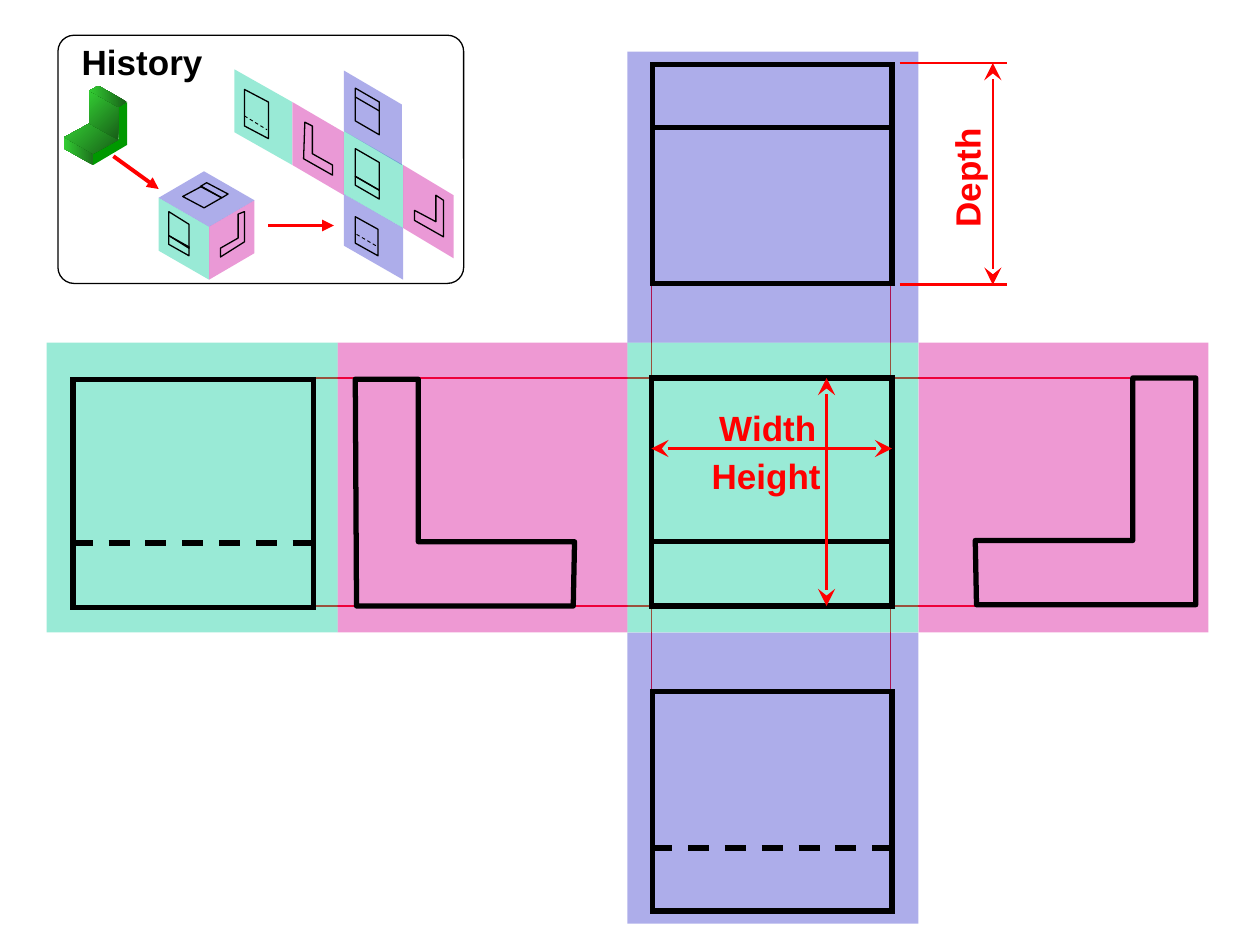
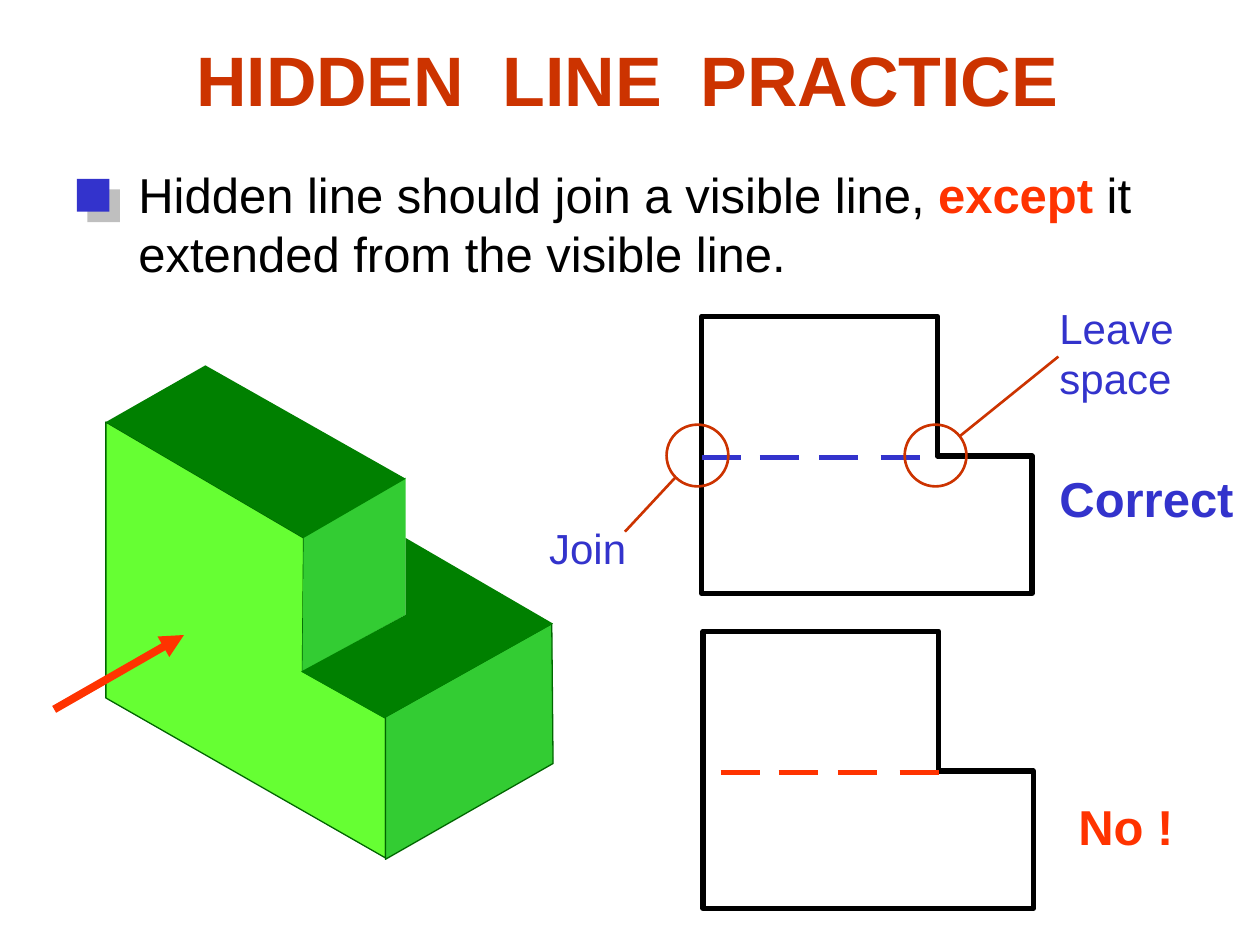
from lxml.etree import SubElement
from pptx import Presentation
from pptx.dml.color import RGBColor
from pptx.enum.dml import MSO_LINE
from pptx.enum.shapes import MSO_CONNECTOR, MSO_SHAPE
from pptx.enum.text import MSO_ANCHOR, MSO_AUTO_SIZE, PP_ALIGN
from pptx.oxml.ns import qn
from pptx.util import Pt

PX = 9144  # 100 px to the inch
FONT = "Arial"

BLACK = RGBColor(0, 0, 0)
RED = RGBColor(0xFF, 0, 0)
ORANGE = RGBColor(0xFF, 0x33, 0)
RUST = RGBColor(0xCC, 0x33, 0)
BLUE = RGBColor(0x33, 0x33, 0xCC)
TEAL = RGBColor(0, 0xCC, 0x99)
PINK = RGBColor(0xD6, 0, 0x93)
ROSE = RGBColor(0xCC, 0, 0x99)
GRAY = RGBColor(0x80, 0x80, 0x80)
LIME = RGBColor(0x66, 0xFF, 0x33)
GREEN = RGBColor(0x33, 0xCC, 0x33)
DARK = RGBColor(0, 0x80, 0)
EDGE = RGBColor(0, 0x66, 0)
SIDE = RGBColor(0, 0x99, 0)
SHADE = RGBColor(0x17, 0x5E, 0x17)
DIM = RGBColor(0x1C, 0x71, 0x1C)

# Unfolded box: column, row, colour; two faces side by side span 461 px
COLS = [(75 + 461 * i) // 2 for i in range(5)]
ROWS = [(83 + 461 * i) // 2 for i in range(4)]
FACES = [(2, 1, TEAL), (3, 1, PINK), (1, 1, PINK), (0, 1, TEAL),
         (2, 0, BLUE), (2, 2, BLUE)]
GUIDES = [(707, 549, 707, 225), (517, 547, 517, 224),
          (776, 481, 247, 481), (897, 300, 246, 300)]
# Views: frame, then the inner line and whether it is hidden
VIEWS = [((517, 300, 191, 181), (517, 430, 708, 430), False),
         ((518, 51, 190, 174), (517, 101, 707, 101), False),
         ((518, 549, 190, 174), (517, 673, 707, 673), True),
         ((58, 301, 191, 181), (57, 431, 248, 431), True)]
ELLS = [[(949, 480), (775, 480), (774, 429), (899, 429), (899, 300), (949, 300)],
        [(283, 481), (455, 481), (456, 430), (332, 430), (332, 301), (282, 301)]]
SPANS = [(656, 300, 656, 481), (517, 356, 708, 356), (788, 50, 788, 226)]
STOPS = [(714, 50, 799, 50), (714, 226, 799, 226)]
SIZES = [("Height", (555, 356, 112, 44), 0), ("Width", (561, 318, 99, 44), 0),
         ("Depth", (718, 119, 99, 44), 270)]

# Small slanted panels: left, top, width, drop, height
SMALL = [((273, 104, 47, 27, 50), TEAL), ((320, 131, 40, 24, 50), ROSE),
         ((232, 81, 41, 24, 50), ROSE), ((273, 154, 47, 27, 41), BLUE),
         ((186, 55, 46, 26, 50), TEAL), ((273, 56, 46, 27, 48), BLUE),
         ((126, 157, 40, 23, 42), TEAL), ((166, 180, 36, -21, 42), ROSE)]
MARKS = [(282, 118, 19, 11, 22), (282, 140, 19, 11, 7), (282, 70, 19, 11, 26),
         (134, 168, 16, 10, 19), (134, 187, 16, 9, 7), (282, 172, 18, 10, 21),
         (194, 71, 19, 10, 29)]
LID = [(202, 159), (166, 180), (126, 157), (162, 136)]
TRACES = [[(346, 155), (352, 159), (352, 188), (329, 175), (329, 167), (346, 176)],
          [(145, 156), (162, 165), (176, 157), (160, 148)],
          [(176, 157), (159, 148), (164, 145), (181, 154)],
          [(175, 204), (175, 197), (189, 189), (189, 170), (194, 168), (194, 192)],
          [(248, 122), (264, 131), (264, 139), (241, 126), (242, 97), (248, 100)]]
CREASES = [((282, 77, 301, 88), 0.75, False), ((283, 186, 300, 196), 0.5, True),
           ((194, 92, 212, 103), 0.5, True)]
SEAT = [(74, 122), (74, 131), (101, 115), (101, 81), (94, 85), (94, 111)]
# Lit faces of the seat: outline, dark end, angle
LIT = [([(74, 122), (51, 109), (51, 118), (74, 131)], DIM, 180),
       ([(74, 122), (51, 109), (71, 98), (94, 111)], SHADE, 135),
       ([(94, 111), (71, 98), (71, 72), (94, 85)], SHADE, 135),
       ([(101, 81), (94, 85), (71, 72), (78, 68)], SHADE, 180)]
STEPS = [(90, 124, 126, 150), (213, 179, 265, 179)]

TITLE = "HIDDEN  LINE  PRACTICE"
RULE = [[("Hidden line should join a visible line, ", False),
         ("except", True), (" it", False)],
        [("extended from the visible line.", False)]]
SOLID = [
    ([(84, 335), (84, 554), (306, 681), (306, 570), (240, 533), (241, 427)], LIME, EDGE),
    ([(306, 569), (438, 495), (439, 606), (306, 682)], GREEN, EDGE),
    ([(241, 426), (322, 379), (322, 488), (240, 533)], GREEN, None),
    ([(84, 335), (163, 290), (322, 380), (241, 427)], DARK, None),
    ([(322, 488), (322, 427), (439, 495), (305, 570), (239, 533)], DARK, None)]
STEP = [(0, 220), (0, 0), (187, 0), (187, 111), (262, 111), (262, 220)]
DASHES, DASH = [0, 46, 93, 142], 31
# Cases: left, top, shift of the hidden line, colour
CASES = [(557, 251, 0, BLUE), (558, 501, 14, ORANGE)]
RINGS = [((529, 337), (536, 379, 496, 422)), ((718, 337), (762, 346, 840, 283))]
NOTES = [("Correct", (831, 367, 158, 57), 28, BLUE, True),
         ("No !", (846, 627, 102, 57), 28, ORANGE, True),
         ("Join", (426, 410, 83, 50), 24, BLUE, False),
         ("Leave\nspace", (831, 235, 113, 90), 24, BLUE, False)]


def emu(box):
    return [n * PX for n in box]


def style(run, size, color, bold):
    font = run.font
    font.name, font.size, font.bold = FONT, Pt(size), bold
    font.color.rgb = color


def stroke(shape, color, width, hidden=False):
    shape.line.color.rgb = color
    shape.line.width = Pt(width)
    if hidden:
        shape.line.dash_style = MSO_LINE.DASH


def paint(shape, fill=None, alpha=100, color=None, width=0.75):
    """Set fill and outline; None leaves either one out."""
    shape.shadow.inherit = False
    if fill is None:
        shape.fill.background()
    else:
        shape.fill.solid()
        shape.fill.fore_color.rgb = fill
        if alpha < 100:
            tint = shape.element.spPr.find(qn("a:solidFill"))[0]
            SubElement(tint, qn("a:alpha"), val=str(alpha * 1000))
    if color is None:
        shape.line.fill.background()
    else:
        stroke(shape, color, width)
    return shape


def block(slide, box, kind=MSO_SHAPE.RECTANGLE, **look):
    shape = paint(slide.shapes.add_shape(kind, *emu(box)), **look)
    if kind == MSO_SHAPE.RECTANGLE and look.get("color") is not None:
        SubElement(shape.element.spPr.find(qn("a:ln")), qn("a:miter"), lim="800000")
    return shape


def poly(slide, points, **look):
    pen = slide.shapes.build_freeform(*points[0], scale=PX)
    pen.add_line_segments(points[1:], close=True)
    return paint(pen.convert_to_shape(), **look)


def slant(x, y, wide, drop, high):
    """Corners of a panel with upright sides."""
    return [(x, y), (x, y + high), (x + wide, y + drop + high), (x + wide, y + drop)]


def line(slide, ends, color, width, hidden=False, head=None, tail=None, size="med"):
    wire = slide.shapes.add_connector(MSO_CONNECTOR.STRAIGHT, *emu(ends))
    stroke(wire, color, width, hidden)
    props = wire.element.spPr
    for tag, tip in (("a:headEnd", head), ("a:tailEnd", tail)):
        if tip:
            SubElement(props.find(qn("a:ln")), qn(tag), type=tip, w=size, len=size)
    SubElement(props, qn("a:effectLst"))


def label(slide, text, box, size, color, bold=True):
    shape = slide.shapes.add_textbox(*emu(box))
    frame = shape.text_frame
    frame.word_wrap = False
    frame.auto_size = MSO_AUTO_SIZE.SHAPE_TO_FIT_TEXT
    frame.text = text
    for para in frame.paragraphs:
        for run in para.runs:
            style(run, size, color, bold)
    return shape


def draw_box(slide):
    for ends in GUIDES:
        line(slide, ends, RED, 0.75)
    for col, row, color in FACES:
        x, y = COLS[col], ROWS[row]
        spot = (x, y, COLS[col + 1] - x, ROWS[row + 1] - y)
        block(slide, spot, fill=color, alpha=40)
    for frame, inner, hidden in VIEWS:
        block(slide, frame, color=BLACK, width=3)
        line(slide, inner, BLACK, 3, hidden)
    for points in ELLS:
        poly(slide, points, color=BLACK, width=3)
    for ends in SPANS:
        line(slide, ends, RED, 1.5, head="stealth", tail="stealth", size="lg")
    for ends in STOPS:
        line(slide, ends, RED, 1.5)
    for text, spot, turn in SIZES:
        label(slide, text, spot, 20, RED).rotation = turn


def draw_history(slide):
    for panel, color in SMALL:
        poly(slide, slant(*panel), fill=color, alpha=40)
    poly(slide, LID, fill=BLUE, alpha=40)
    for points in [slant(*mark) for mark in MARKS] + TRACES:
        poly(slide, points, color=BLACK)
    for ends, width, hidden in CREASES:
        line(slide, ends, BLACK, width, hidden)
    poly(slide, SEAT, fill=SIDE)
    for points, dark, angle in LIT:
        fill = poly(slide, points).fill
        fill.gradient()
        fill.gradient_angle = angle
        for stop, color in zip(fill.gradient_stops, (dark, GREEN)):
            stop.color.rgb = color
    frame = block(slide, (46, 28, 322, 197), MSO_SHAPE.ROUNDED_RECTANGLE, color=BLACK)
    frame.adjustments[0] = 0.065
    label(slide, "History", (55, 27, 118, 44), 20, BLACK)
    for ends in STEPS:
        line(slide, ends, RED, 2.25, tail="triangle")


def draw_rule(slide):
    head = label(slide, TITLE, (73, 0, 850, 125), 40, RUST).text_frame
    head.auto_size = MSO_AUTO_SIZE.NONE
    head.word_wrap = True
    head.vertical_anchor = MSO_ANCHOR.MIDDLE
    head.paragraphs[0].alignment = PP_ALIGN.CENTER
    body = label(slide, "", (100, 126, 808, 104), 28, BLACK).text_frame
    para = body.paragraphs[0]
    for row, parts in enumerate(RULE):
        if row:
            para.add_line_break()
        for text, strong in parts:
            run = para.add_run()
            run.text = text
            style(run, 28, ORANGE if strong else BLACK, strong)
    bullet = block(slide, (61, 142, 26, 26), fill=BLUE)
    glow = SubElement(bullet.element.spPr.find(qn("a:effectLst")), qn("a:outerShdw"),
                      dist=str(Pt(8.5)), dir="2700000", algn="ctr", rotWithShape="0")
    tint = SubElement(glow, qn("a:srgbClr"), val=str(GRAY))
    SubElement(tint, qn("a:alpha"), val="50000")


def draw_cases(slide):
    for points, fill, color in SOLID:
        poly(slide, points, fill=fill, color=color)
    for left, top, shift, color in CASES:
        poly(slide, [(left + x, top + y) for x, y in STEP], color=BLACK, width=3)
        for dash in DASHES:
            x, y = left + shift + dash, top + 112
            line(slide, (x, y, x + DASH, y), color, 3)
    line(slide, (43, 563, 146, 504), ORANGE, 4.5, tail="triangle")
    for spot, ends in RINGS:
        block(slide, (*spot, 49, 49), MSO_SHAPE.OVAL, color=RUST, width=1.5)
        line(slide, ends, RUST, 1.5)
    for note in NOTES:
        label(slide, *note)


def main():
    deck = Presentation()
    deck.slide_width, deck.slide_height = emu((1000, 750))
    for parts in ((draw_box, draw_history), (draw_rule, draw_cases)):
        slide = deck.slides.add_slide(deck.slide_layouts[6])
        for draw in parts:
            draw(slide)
    deck.save("out.pptx")


if __name__ == "__main__":
    main()
